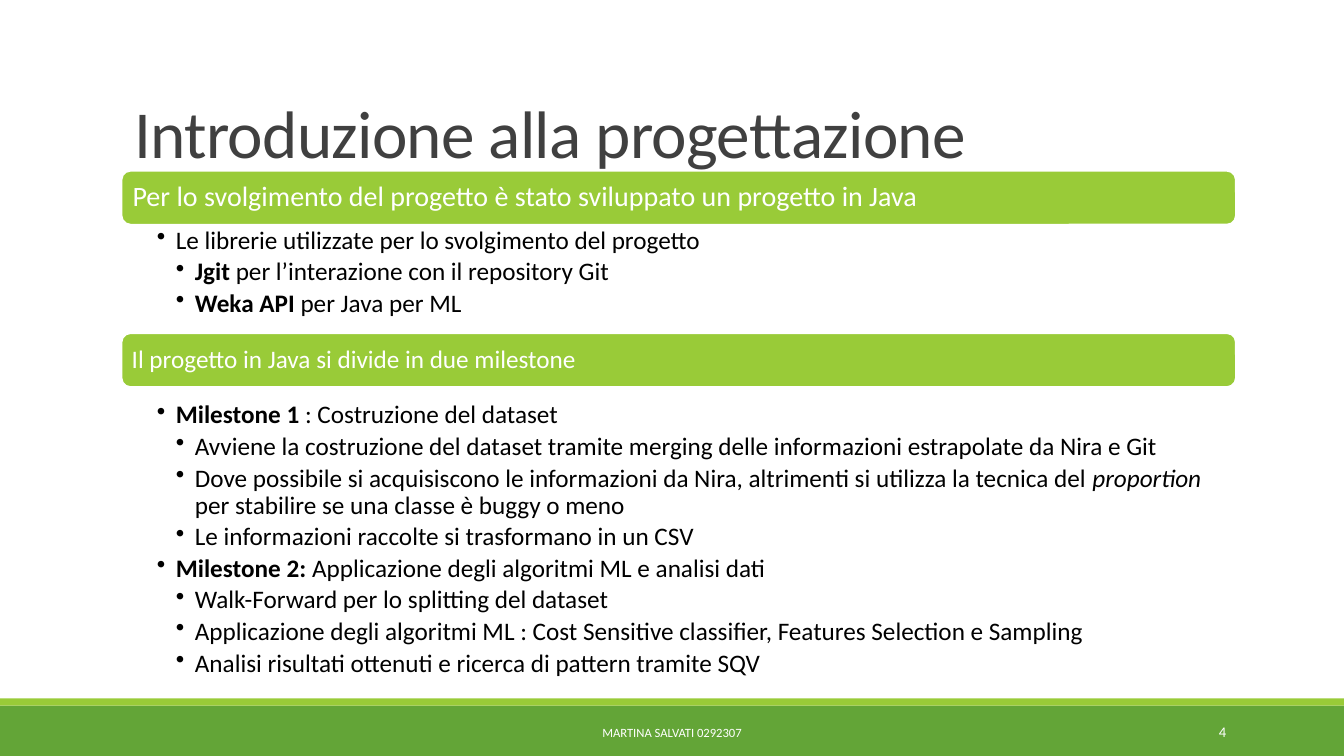
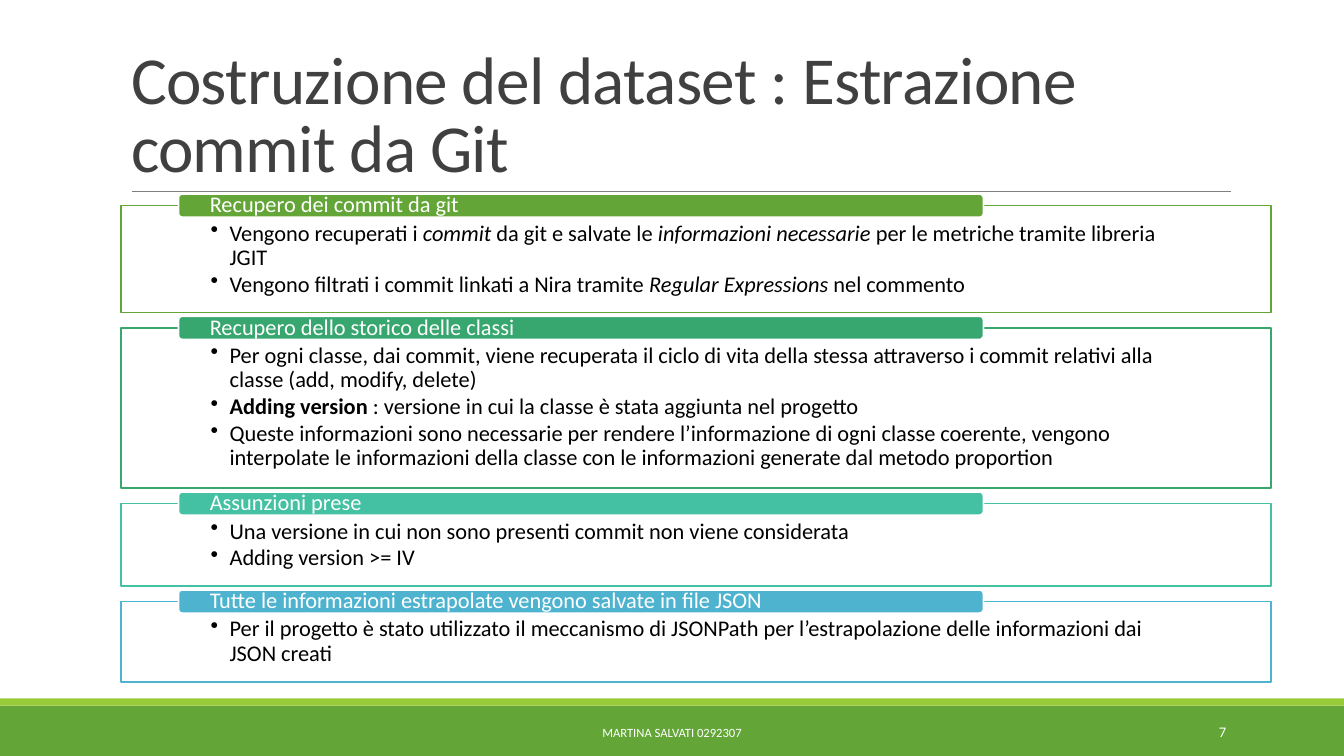
from lxml import etree
from pptx import Presentation
from pptx.dml.color import RGBColor
from pptx.enum import shapes, text
from pptx.oxml import ns
from pptx.util import Pt

WHITE = RGBColor(0xFF, 0xFF, 0xFF)
BLACK = RGBColor(0, 0, 0)
INK = RGBColor(0x40, 0x40, 0x40)
GRAY = RGBColor(0x80, 0x80, 0x80)
LIME = RGBColor(0x99, 0xCB, 0x38)
GREEN = RGBColor(0x63, 0xA5, 0x37)
EMERALD = RGBColor(0x37, 0xA7, 0x6F)
TEAL = RGBColor(0x44, 0xC1, 0xA3)
SKY = RGBColor(0x4E, 0xB3, 0xCF)

FONT = "Calibri"
WIDTH, HEIGHT = 960, 540
LEFT = 86.4
INDENT = 13.6
RECT = shapes.MSO_SHAPE.RECTANGLE
ROUND = shapes.MSO_SHAPE.ROUNDED_RECTANGLE
ALIGN = text.PP_ALIGN
ANCHOR = text.MSO_ANCHOR


def put_text(tf, paras, size, color, anchor=ANCHOR.MIDDLE, align=ALIGN.LEFT,
             insets=(7.2, 3.6, 7.2, 3.6), spacing=0.9, after=0, kern=None):
    tf.word_wrap = True
    tf.auto_size = text.MSO_AUTO_SIZE.NONE
    tf.vertical_anchor = anchor
    tf.margin_left, tf.margin_top, tf.margin_right, tf.margin_bottom = map(Pt, insets)
    for n, (level, *runs) in enumerate(paras):
        p = tf.add_paragraph() if n else tf.paragraphs[0]
        p.alignment, p.line_spacing = align, spacing
        p.space_before, p.space_after = Pt(0), Pt(after)
        if level:
            ppr = p._p.get_or_add_pPr()
            ppr.set("marL", str(Pt(INDENT * level)))
            ppr.set("indent", str(-Pt(INDENT)))
            etree.SubElement(ppr, ns.qn("a:buChar")).set("char", "•")
        for run in runs:
            words, style = (run, "") if isinstance(run, str) else run
            r = p.add_run()
            r.text = words
            r.font.name, r.font.size, r.font.color.rgb = FONT, Pt(size), color
            if style == "b":
                r.font.bold = True
            if style == "i":
                r.font.italic = True
            if kern is not None:
                r._r.get_or_add_rPr().set("spc", str(kern))


def add_box(s, kind, box, fill, line=None):
    sp = s.shapes.add_shape(kind, *map(Pt, box))
    sp.shadow.inherit = False
    sp.fill.solid()
    sp.fill.fore_color.rgb = fill
    if line is None:
        sp.line.fill.background()
    else:
        sp.line.color.rgb = line
        sp.line.width = Pt(1.25)
    return sp


def add_label(s, box, paras, size, color, **fmt):
    tb = s.shapes.add_textbox(*map(Pt, box))
    put_text(tb.text_frame, paras, size, color, **fmt)


def add_rule(s, x1, x2, y):
    cn = s.shapes.add_connector(shapes.MSO_CONNECTOR.STRAIGHT, Pt(x1), Pt(y), Pt(x2), Pt(y))
    cn.line.color.rgb = GRAY
    cn.line.width = Pt(0.5)
    etree.SubElement(cn._element.spPr, ns.qn("a:effectLst"))


def add_page(prs, title, title_at, number):
    s = prs.slides.add_slide(prs.slide_layouts[5])
    add_box(s, RECT, (0, 504, WIDTH, 36), GREEN)
    add_box(s, RECT, (0, 498.8, WIDTH, 5.2), LIME)
    sp = s.shapes.title
    sp.left, sp.top, sp.width, sp.height = map(Pt, (*title_at, 792, 114.5))
    put_text(sp.text_frame, [(0, title)], 48, INK, anchor=ANCHOR.BOTTOM, spacing=0.85, kern=-50)
    for box, words, size, align in (
        ((290, 508.5, 380, 28.8), "MARTINA SALVATI 0292307", 9, ALIGN.CENTER),
        ((780, 508.5, 103, 28.8), number, 10.5, ALIGN.RIGHT),
    ):
        add_label(s, box, [(0, words)], size, WHITE, align=align, spacing=1)
    return s


def add_section(s, box, gap, heading, size, paras):
    x, y, w, h = box
    bar_h = 38.5
    bar = add_box(s, ROUND, (x, y, w, bar_h), LIME, WHITE)
    put_text(bar.text_frame, [(0, heading)], size, WHITE, insets=(size * 0.3,) * 4)
    add_label(s, (x, y + bar_h + gap, w, h - bar_h - gap), paras, 18, BLACK,
              anchor=ANCHOR.TOP, insets=(25.2, 2, 10, 2), after=3.1)


def add_card(s, box, color, heading, paras):
    x, y, w, h = box
    pill_h = 16.6
    card = add_box(s, RECT, box, WHITE, color)
    put_text(card.text_frame, paras, 16, BLACK, anchor=ANCHOR.TOP,
             insets=(64, 11.5, 64, 8.5), after=2)
    pill = add_box(s, ROUND, (x + w * 0.05, y - pill_h / 2, w * 0.7, pill_h), color, WHITE)
    put_text(pill.text_frame, [(0, heading)], 16, WHITE, insets=(21.6, 0, 21.6, 0))


def build_intro(prs):
    s = add_page(prs, "Introduzione alla progettazione", (88.6, 12.2), "4")
    add_section(
        s, (LEFT + 0.4, 122, 796, 115.5), 0,
        "Per lo svolgimento del progetto è stato sviluppato un progetto in Java", 20,
        [
            (1, "Le librerie utilizzate per lo svolgimento del progetto"),
            (2, ("Jgit", "b"), " per l’interazione con il repository Git"),
            (2, ("Weka API ", "b"), "per Java per ML"),
        ])
    add_section(
        s, (LEFT + 0.4, 238, 796, 163), 8.8,
        "Il progetto in Java si divide in due milestone", 18,
        [
            (1, ("Milestone 1 ", "b"), ": Costruzione del dataset"),
            (2, "Avviene la costruzione del dataset tramite merging delle informazioni "
                "estrapolate da Nira e Git"),
            (2, "Dove possibile si acquisiscono le informazioni da Nira, altrimenti si "
                "utilizza la tecnica del ", ("proportion", "i"),
             " per stabilire se una classe è buggy o meno"),
            (2, "Le informazioni raccolte si trasformano in un CSV"),
            (1, ("Milestone 2: ", "b"), "Applicazione degli algoritmi ML e analisi dati"),
            (2, "Walk-Forward per lo splitting del dataset"),
            (2, "Applicazione degli algoritmi ML : Cost Sensitive classifier, "
                "Features Selection e Sampling"),
            (2, "Analisi risultati ottenuti e ricerca di pattern tramite SQV"),
        ])


def build_extraction(prs):
    s = add_page(prs, "Costruzione del dataset : Estrazione commit da Git", (86.4, 22.3), "7")
    add_rule(s, 94.3, 879, 136.8)
    cards = [
        (76.3, GREEN, "Recupero dei commit da git", [
            (1, "Vengono recuperati i ", ("commit", "i"), " da git e salvate le ",
             ("informazioni necessarie ", "i"), "per le metriche tramite libreria JGIT"),
            (1, "Vengono filtrati i commit linkati a Nira tramite ",
             ("Regular Expressions ", "i"), "nel commento"),
        ]),
        (114.5, EMERALD, "Recupero dello storico delle classi", [
            (1, "Per ogni classe, dai commit, viene recuperata il ciclo di vita della stessa "
                "attraverso i commit relativi alla classe (add, modify, delete)"),
            (1, ("Adding version ", "b"),
             ": versione in cui la classe è stata aggiunta nel progetto"),
            (1, "Queste informazioni sono necessarie per rendere l’informazione di ogni classe "
                "coerente, vengono interpolate le informazioni della classe con le "
                "informazioni generate dal metodo proportion"),
        ]),
        (59, TEAL, "Assunzioni prese", [
            (1, "Una versione in cui non sono presenti commit non viene considerata"),
            (1, "Adding version >= IV"),
        ]),
        (57.5, SKY, "Tutte le informazioni estrapolate vengono salvate in file JSON", [
            (1, "Per il progetto è stato utilizzato il meccanismo di JSONPath per "
                "l’estrapolazione delle informazioni dai JSON creati"),
        ]),
    ]
    y = 146.9
    for h, color, heading, paras in cards:
        add_card(s, (LEFT, y, 821.5, h), color, heading, paras)
        y += h + 11


def main():
    prs = Presentation()
    prs.slide_width, prs.slide_height = Pt(WIDTH), Pt(HEIGHT)
    build_intro(prs)
    build_extraction(prs)
    prs.save("out.pptx")


if __name__ == "__main__":
    main()
